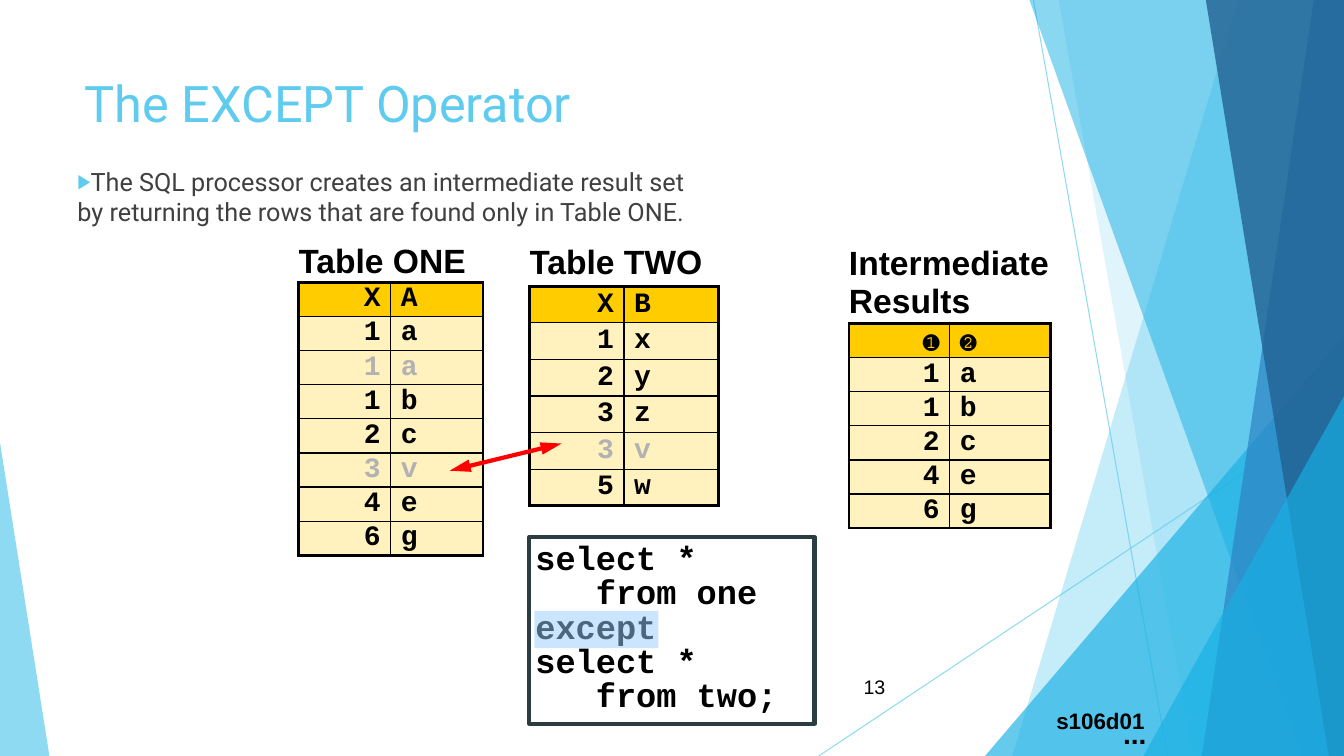
from lxml.etree import SubElement
from pptx import Presentation
from pptx.dml.color import RGBColor
from pptx.enum.shapes import MSO_CONNECTOR, MSO_SHAPE
from pptx.enum.text import MSO_ANCHOR, PP_ALIGN
from pptx.oxml.ns import qn
from pptx.util import Emu, Pt

PX = 9144  # 100 px to the inch
WIDTH, HEIGHT = 1333, 750
BLACK, SKY, AZURE = "000000", "5FCBEF", "17B0E4"
GOLD, CREAM, FADED = "FFCC00", "FFF2BE", "B2B2B2"
THICK, THIN = 2.25, 1


def px(*lengths):
    return [Emu(length * PX) for length in lengths]


def rgb(color):
    return RGBColor.from_string(color)


def set_alpha(shape, percent):
    color = shape.element.spPr.find(".//" + qn("a:srgbClr"))
    SubElement(color, qn("a:alpha")).set("val", str(percent * 1000))


def set_bullet(paragraph, character, color, percent):
    properties = paragraph._p.get_or_add_pPr()
    bullet_color = SubElement(properties, qn("a:buClr"))
    SubElement(bullet_color, qn("a:srgbClr")).set("val", color)
    SubElement(properties, qn("a:buSzPct")).set("val", str(percent * 1000))
    SubElement(properties, qn("a:buFont")).set("typeface", "Arial")
    SubElement(properties, qn("a:buChar")).set("char", character)


def write(frame, text, font="Arial", size=18, color=BLACK, bold=False,
          align=PP_ALIGN.LEFT, line_spacing=None, bullet=None):
    """Fill a text frame, one paragraph for each string in text."""
    for index, line in enumerate([text] if isinstance(text, str) else text):
        paragraph = frame.add_paragraph() if index else frame.paragraphs[0]
        paragraph.text = line
        paragraph.alignment = align
        if line_spacing:
            paragraph.line_spacing = line_spacing
        if bullet:
            set_bullet(paragraph, bullet, SKY, 80)
        for run in paragraph.runs:
            run.font.name, run.font.size, run.font.bold = font, Pt(size), bold
            run.font.color.rgb = rgb(color)


def set_margins(holder, horizontal, vertical):
    holder.margin_left = holder.margin_right = Emu(horizontal * PX)
    holder.margin_top = holder.margin_bottom = Emu(vertical * PX)


def add_text(slide, box, text, margin=5, anchor=MSO_ANCHOR.TOP, **text_format):
    frame = slide.shapes.add_textbox(*px(*box)).text_frame
    frame.word_wrap, frame.vertical_anchor = True, anchor
    set_margins(frame, 10, margin)
    write(frame, text, **text_format)


def paint(shape, fill, alpha=None):
    shape.shadow.inherit = False
    shape.fill.solid()
    shape.fill.fore_color.rgb = rgb(fill)
    shape.line.fill.background()
    if alpha:
        set_alpha(shape, alpha)


def add_facet(slide, points, fill, alpha):
    builder = slide.shapes.build_freeform(*points[0], scale=PX)
    builder.add_line_segments(points[1:], close=True)
    paint(builder.convert_to_shape(), fill, alpha)


def add_corner(slide, box, apex, fill, alpha):
    """Add a right triangle whose apex is at 0 (left) or 1 (right)."""
    triangle = slide.shapes.add_shape(MSO_SHAPE.ISOSCELES_TRIANGLE, *px(*box))
    triangle.adjustments[0] = apex
    paint(triangle, fill, alpha)


def add_line(slide, ends, color, width):
    connector = slide.shapes.add_connector(MSO_CONNECTOR.STRAIGHT, *px(*ends))
    connector.line.color.rgb = rgb(color)
    connector.line.width = Pt(width)
    SubElement(connector.element.spPr, qn("a:effectLst"))
    return connector


def add_double_arrow(slide, ends, color, width):
    line = add_line(slide, ends, color, width).line._get_or_add_ln()
    for end in ("a:headEnd", "a:tailEnd"):
        arrowhead = SubElement(line, qn(end))
        arrowhead.set("type", "triangle")
        arrowhead.set("len", "lg")


def set_borders(cell, **widths):
    properties = cell._tc.get_or_add_tcPr()
    for side in "LRTB":
        if side in widths:
            line = SubElement(properties, qn("a:ln" + side), w=str(Pt(widths[side])))
            fill = SubElement(line, qn("a:solidFill"))
            SubElement(fill, qn("a:srgbClr")).set("val", BLACK)


def add_data_table(slide, box, title, title_height, rows, faded=(), bold_header=True):
    """Add a two-column table: a title row, a header row, then data rows."""
    table = slide.shapes.add_table(len(rows) + 1, 2, *px(*box)).table
    table.first_row = table.horz_banding = False
    for column in table.columns:
        column.width = Emu(box[2] * PX // 2)
    table.rows[0].height = Emu(title_height * PX)

    for column in range(2):
        cell = table.cell(0, column)
        set_borders(cell, B=THICK)
        cell.fill.background()
        set_margins(cell, 0, 0)
    title_cell = table.cell(0, 0)
    title_cell.merge(table.cell(0, 1))
    title_cell.vertical_anchor = MSO_ANCHOR.MIDDLE
    write(title_cell.text_frame, title, size=24, bold=True)

    for index, values in enumerate(rows):
        header, last = index == 0, index == len(rows) - 1
        table.rows[index + 1].height = Emu((box[3] - title_height) * PX // len(rows))
        for column, value in enumerate(values):
            cell = table.cell(index + 1, column)
            set_borders(cell, L=THIN if column else THICK, R=THICK if column else THIN,
                        T=THICK if header else THIN, B=THICK if last else THIN)
            cell.fill.solid()
            cell.fill.fore_color.rgb = rgb(GOLD if header else CREAM)
            set_margins(cell, 10, 0)
            cell.vertical_anchor = MSO_ANCHOR.MIDDLE
            write(cell.text_frame, value, font="Courier New", size=20,
                  bold=bold_header or not header,
                  color=FADED if index in faded else BLACK,
                  align=PP_ALIGN.LEFT if column else PP_ALIGN.RIGHT)


def add_background(slide):
    for ends in ((1025, 0, 1158, HEIGHT), (WIDTH, 403, 812, HEIGHT)):
        set_alpha(add_line(slide, ends, SKY, 0.75), 70)

    def add_band(top_left, bottom_left, fill, alpha):
        """Add a facet that reaches the right edge of the slide."""
        points = [(top_left, 0), (WIDTH, 0), (WIDTH, HEIGHT), (bottom_left, HEIGHT)]
        add_facet(slide, points, fill, alpha)

    add_band(1228, 1004, SKY, 36)
    add_band(1050, 1183, SKY, 20)
    add_corner(slide, (977, 333, 356, 417), 1, AZURE, 66)
    add_band(1021, 1291, AZURE, 50)
    add_band(1303, 1192, "2E83C3", 70)
    add_band(1196, 1318, "226292", 80)
    add_corner(slide, (1134, 393, 199, 357), 1, AZURE, 66)
    add_corner(slide, (0, 439, 49, 311), 0, SKY, 70)


def add_title(slide, box, text):
    title = slide.shapes.title
    title.left, title.top, title.width, title.height = px(*box)
    title.text_frame.vertical_anchor = MSO_ANCHOR.TOP
    write(title.text_frame, text, font="Roboto", size=36, color=SKY)


def add_query(slide, box, lines):
    query = slide.shapes.add_shape(MSO_SHAPE.RECTANGLE, *px(*box))
    paint(query, "FFFFFF")
    query.line.color.rgb = rgb("2C3C43")
    query.line.width = Pt(3)
    query.text_frame.vertical_anchor = MSO_ANCHOR.TOP
    set_margins(query.text_frame, 6, 6)
    write(query.text_frame, lines, font="Courier New", size=24, bold=True, line_spacing=0.85)


def main():
    presentation = Presentation()
    presentation.slide_width, presentation.slide_height = px(WIDTH, HEIGHT)
    slide = presentation.slides.add_slide(presentation.slide_layouts[5])
    add_background(slide)
    add_title(slide, (74, 67, 940, 144), "The EXCEPT Operator")
    add_text(slide, (67, 160, 940, 424),
             "The SQL processor creates an intermediate result set\n"
             "by returning the rows that are found only in Table ONE.",
             font="Roboto", color="404040", bullet="▶")
    add_text(slide, (788, 661, 100, 40), "13", size=14, align=PP_ALIGN.RIGHT,
             anchor=MSO_ANCHOR.MIDDLE)
    add_query(slide, (525, 533, 283, 185),
              ["select *", "   from one", "except", "select *", "   from two;"])
    add_text(slide, (1104, 706, 60, 44), "...", size=20, bold=True)
    add_data_table(slide, (842, 240, 200, 284), "Intermediate\nResults", 81,
                   ["❶❷", "1a", "1b", "2c", "4e", "6g"], bold_header=False)
    add_data_table(slide, (296, 240, 183, 311), "Table ONE", 40,
                   ["XA", "1a", "1a", "1b", "2c", "3v", "4e", "6g"], faded=(2, 5))
    add_data_table(slide, (525, 238, 188, 264), "Table TWO", 46,
                   ["XB", "1x", "2y", "3z", "3v", "5w"], faded=(4,))
    add_double_arrow(slide, (446, 467, 557, 440), "FF0000", 3)
    add_text(slide, (1005, 692, 140, 46), "s106d01", margin=10,
             size=16, bold=True, align=PP_ALIGN.RIGHT)
    highlight = slide.shapes.add_shape(MSO_SHAPE.RECTANGLE, *px(530, 606, 123, 37))
    paint(highlight, "99CCFF", 50)
    presentation.save("out.pptx")


if __name__ == "__main__":
    main()
